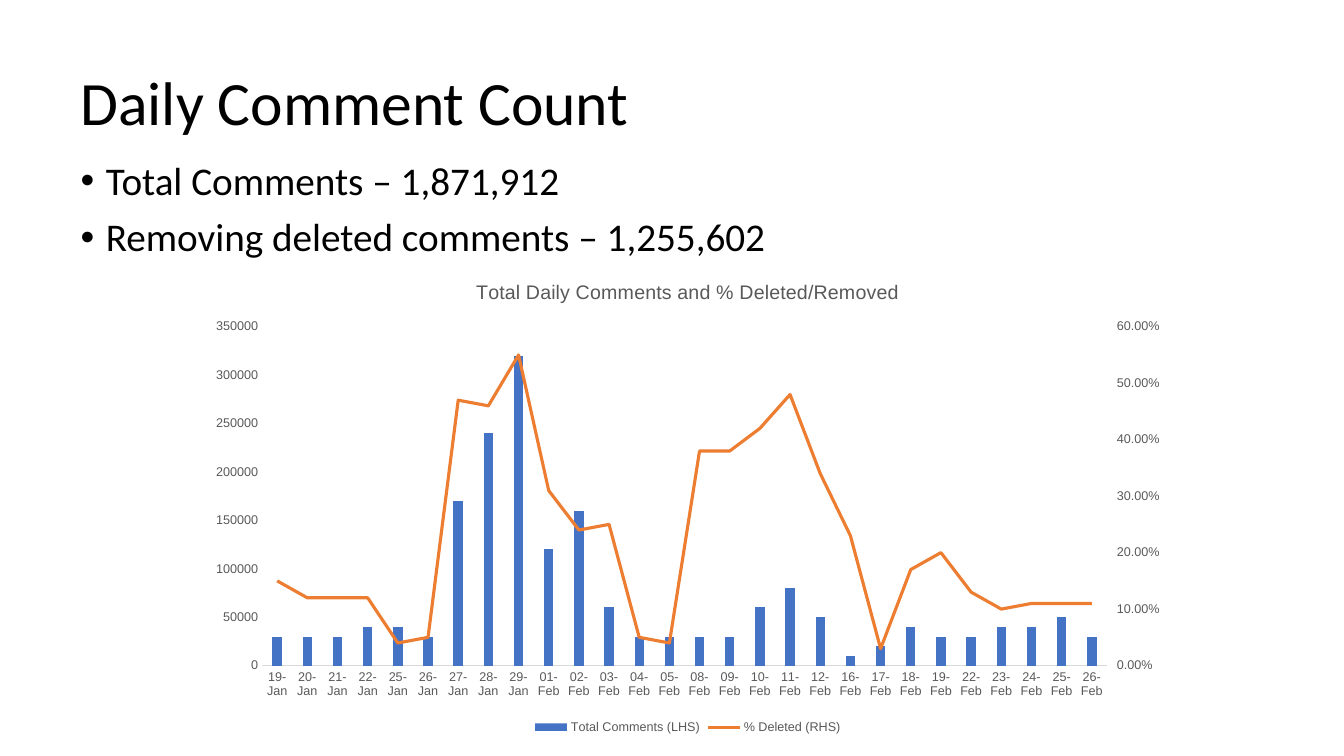
import copy

import pptx
import pptx.chart.axis
import pptx.chart.data
import pptx.dml.color
import pptx.enum.chart
import pptx.enum.text
import pptx.oxml
import pptx.oxml.ns
import pptx.util
from pptx.util import Cm, Pt

TITLE = "Daily Comment Count"
POINTS = ["Total Comments – 1,871,912", "Removing deleted comments – 1,255,602"]
HEADING = "Total Daily Comments and % Deleted/Removed"
BAR_NAME, LINE_NAME = "Total Comments (LHS)", "% Deleted (RHS)"

# day, comments, share deleted
DAYS = [
    ("19-Jan", 30000, 0.15), ("20-Jan", 30000, 0.12), ("21-Jan", 30000, 0.12),
    ("22-Jan", 40000, 0.12), ("25-Jan", 40000, 0.04), ("26-Jan", 30000, 0.05),
    ("27-Jan", 170000, 0.47), ("28-Jan", 240000, 0.46), ("29-Jan", 320000, 0.55),
    ("01-Feb", 120000, 0.31), ("02-Feb", 160000, 0.24), ("03-Feb", 60000, 0.25),
    ("04-Feb", 30000, 0.05), ("05-Feb", 30000, 0.04), ("08-Feb", 30000, 0.38),
    ("09-Feb", 30000, 0.38), ("10-Feb", 60000, 0.42), ("11-Feb", 80000, 0.48),
    ("12-Feb", 50000, 0.34), ("16-Feb", 10000, 0.23), ("17-Feb", 20000, 0.03),
    ("18-Feb", 40000, 0.17), ("19-Feb", 30000, 0.2), ("22-Feb", 30000, 0.13),
    ("23-Feb", 40000, 0.1), ("24-Feb", 40000, 0.11), ("25-Feb", 50000, 0.11),
    ("26-Feb", 30000, 0.11),
]

BLACK = pptx.dml.color.RGBColor(0x00, 0x00, 0x00)
GREY = pptx.dml.color.RGBColor(0x59, 0x59, 0x59)
PALE = pptx.dml.color.RGBColor(0xD9, 0xD9, 0xD9)
BLUE = pptx.dml.color.RGBColor(0x44, 0x72, 0xC4)
ORANGE = pptx.dml.color.RGBColor(0xED, 0x7D, 0x31)

LEFT, WIDTH = Cm(1.9), Cm(23.7)
PAD = Cm(0.13)
INDENT = Cm(0.64)
qn = pptx.oxml.ns.qn


def set_font(font, name, size, color):
    font.name, font.size, font.bold = name, Pt(size), False
    font.color.rgb = color


def add_text(slide, top, height, lines, size, anchor):
    box = slide.shapes.add_textbox(LEFT, top, WIDTH, height)
    frame = box.text_frame
    frame.word_wrap = True
    frame.vertical_anchor = anchor
    frame.margin_left = frame.margin_right = PAD
    frame.margin_top = frame.margin_bottom = PAD
    frame.text = "\n".join(lines)
    for para in frame.paragraphs:
        para.line_spacing = 0.9
        set_font(para.font, "Calibri", size, BLACK)
    return frame.paragraphs


def add_bullet(para):
    para.space_before = Pt(10)
    props = para._p.get_or_add_pPr()
    props.set("marL", str(INDENT))
    props.set("indent", str(-INDENT))
    font = props.makeelement(qn("a:buFont"), {"typeface": "Arial"})
    mark = props.makeelement(qn("a:buChar"), {"char": "•"})
    first = props.find(qn("a:defRPr"))
    first.addprevious(font)
    first.addprevious(mark)


def style_axis(axis, top=None, form=None):
    set_font(axis.tick_labels.font, "Arial", 9, GREY)
    axis.has_major_gridlines = False
    axis.major_tick_mark = pptx.enum.chart.XL_TICK_MARK.NONE
    if top:
        axis.minimum_scale, axis.maximum_scale = 0, top
        axis.tick_labels.number_format = form
        axis.tick_labels.number_format_is_linked = False
        axis.format.line.fill.background()
    else:
        axis.format.line.color.rgb = PALE
        axis.format.line.width = Pt(0.75)


def move_line(chart):
    """Turn the second column series into a line on a right-hand axis."""
    bars = chart.plots[0]._element
    ser = bars.findall(qn("c:ser"))[1]
    flag = ser.find(qn("c:invertIfNegative"))
    if flag is not None:
        ser.remove(flag)
    plot = pptx.oxml.parse_xml(
        '<c:lineChart xmlns:c="http://schemas.openxmlformats.org/drawingml/2006/chart">'
        '<c:grouping val="standard"/><c:varyColors val="0"/><c:marker val="1"/>'
        '<c:axId val="101"/><c:axId val="102"/></c:lineChart>')
    plot.find(qn("c:marker")).addprevious(ser)
    bars.addnext(plot)

    cat, val = chart.category_axis._element, chart.value_axis._element
    under, right = copy.deepcopy(cat), copy.deepcopy(val)
    val.addnext(right)
    right.addnext(under)
    for axis, own, other in ((under, "101", "102"), (right, "102", "101")):
        axis.find(qn("c:axId")).set("val", own)
        axis.find(qn("c:crossAx")).set("val", other)
    under.find(qn("c:delete")).set("val", "1")
    right.find(qn("c:axPos")).set("val", "r")
    right.find(qn("c:crosses")).set("val", "max")
    return pptx.chart.axis.ValueAxis(right)


def add_graph(slide):
    data = pptx.chart.data.CategoryChartData()
    data.categories = [day for day, _, _ in DAYS]
    data.add_series(BAR_NAME, [count for _, count, _ in DAYS])
    data.add_series(LINE_NAME, [share for _, _, share in DAYS], "0.00%")
    chart = slide.shapes.add_chart(
        pptx.enum.chart.XL_CHART_TYPE.COLUMN_CLUSTERED,
        Cm(4.95), Cm(6.58), Cm(24.77), Cm(12.03), data).chart
    set_font(chart.font, "Arial", 10, BLACK)

    chart.has_title = True
    chart.chart_title.include_in_layout = False
    head = chart.chart_title.text_frame
    head.text = HEADING
    set_font(head.paragraphs[0].font, "Arial", 14, GREY)

    chart.has_legend = True
    chart.legend.position = pptx.enum.chart.XL_LEGEND_POSITION.BOTTOM
    chart.legend.include_in_layout = False
    set_font(chart.legend.font, "Arial", 9, GREY)

    style_axis(chart.category_axis)
    style_axis(chart.value_axis, 350000, "General")
    right = move_line(chart)
    style_axis(right, 0.6, "0.00%")
    right.major_tick_mark = pptx.enum.chart.XL_TICK_MARK.OUTSIDE

    bars, line = chart.plots
    bars.gap_width, bars.overlap = 219, -27
    bars.vary_by_categories = False
    fill = bars.series[0].format.fill
    fill.solid()
    fill.fore_color.rgb = BLUE
    share = line.series[0]
    share.smooth = False
    share.marker.style = pptx.enum.chart.XL_MARKER_STYLE.NONE
    share.format.line.color.rgb = ORANGE
    share.format.line.width = Pt(2.25)


def main():
    deck = pptx.Presentation()
    deck.slide_width, deck.slide_height = Cm(33.87), Cm(19.05)
    slide = deck.slides.add_slide(deck.slide_layouts[6])
    anchor = pptx.enum.text.MSO_ANCHOR
    add_text(slide, Cm(0.56), Cm(4.19), [TITLE], 44, anchor.MIDDLE)
    for para in add_text(slide, Cm(3.94), Cm(12.37), POINTS, 28, anchor.TOP):
        add_bullet(para)
    add_graph(slide)
    deck.save("out.pptx")


if __name__ == "__main__":
    main()
